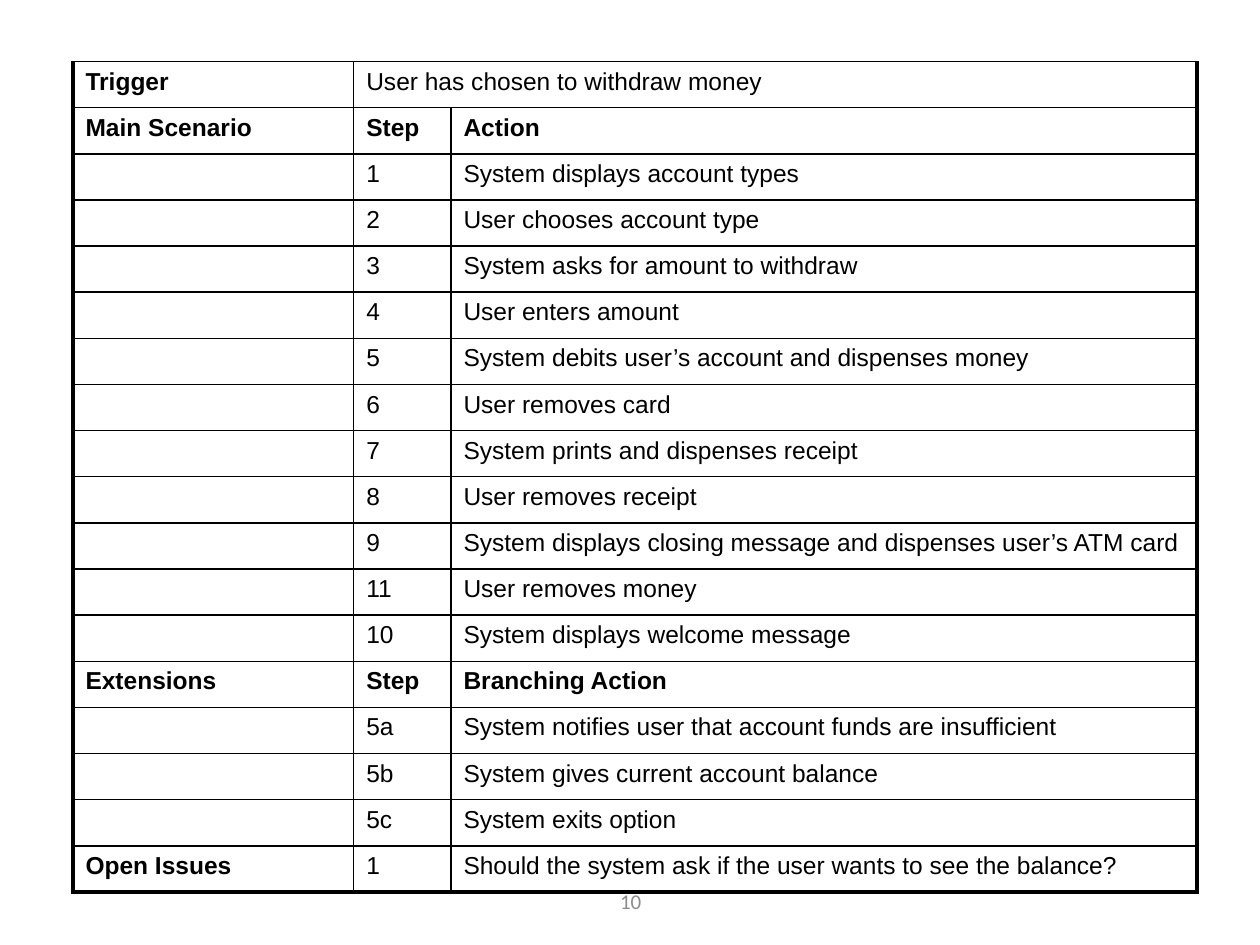
from lxml import etree
from pptx import Presentation
from pptx import util as u
from pptx.dml.color import RGBColor
from pptx.enum import text
from pptx.oxml.ns import qn


def style(font, color, **values):
    font.color.rgb = RGBColor.from_string(color)
    for key, value in values.items():
        setattr(font, key, value)


def add_border(cell, side, points):
    line = etree.SubElement(cell._tc.get_or_add_tcPr(), qn("a:ln" + side), w=str(u.Pt(points)))
    fill = etree.SubElement(line, qn("a:solidFill"))
    etree.SubElement(fill, qn("a:srgbClr"), val="000000")


use_case = [
    ("Trigger", "User has chosen to withdraw money", ""),
    ("Main Scenario", "Step", "Action"),
    ("", "1", "System displays account types"),
    ("", "2", "User chooses account type"),
    ("", "3", "System asks for amount to withdraw"),
    ("", "4", "User enters amount"),
    ("", "5", "System debits user’s account and dispenses money"),
    ("", "6", "User removes card"),
    ("", "7", "System prints and dispenses receipt"),
    ("", "8", "User removes receipt"),
    ("", "9", "System displays closing message and dispenses user’s ATM card"),
    ("", "11", "User removes money"),
    ("", "10", "System displays welcome message"),
    ("Extensions", "Step", "Branching Action"),
    ("", "5a", "System notifies user that account funds are insufficient"),
    ("", "5b", "System gives current account balance"),
    ("", "5c", "System exits option"),
    ("Open Issues", "1", "Should the system ask if the user wants to see the balance?"),
]
column_widths = [5.66, 1.96, 15.04]
row_height = 0.93
thin, thick = 1, 2.25

deck = Presentation()
deck.slide_width, deck.slide_height = u.Cm(25.4), u.Cm(19.05)
slide = deck.slides.add_slide(deck.slide_layouts[6])

page_number = slide.shapes.add_textbox(u.Cm(8.69), u.Cm(17.65), u.Cm(8.05), u.Cm(1.02)).text_frame
page_number.word_wrap = True
page_number.vertical_anchor = text.MSO_ANCHOR.MIDDLE
page_number.text = "10"
page_number.paragraphs[0].alignment = text.PP_ALIGN.CENTER
style(page_number.paragraphs[0].runs[0].font, "8C8C8C", name="Calibri", size=u.Pt(12))

scenario = slide.shapes.add_table(
    len(use_case), len(column_widths), u.Cm(1.47), u.Cm(1.24),
    u.Cm(sum(column_widths)), u.Cm(row_height * len(use_case))).table
scenario.first_row = scenario.horz_banding = False
for column, width in zip(scenario.columns, column_widths):
    column.width = u.Cm(width)
for row in scenario.rows:
    row.height = u.Cm(row_height)
scenario.cell(0, 1).merge(scenario.cell(0, 2))

last_row, last_column = len(use_case) - 1, len(column_widths) - 1
for r, entries in enumerate(use_case):
    for c, entry in enumerate(entries):
        cell = scenario.cell(r, c)
        reaches_right = c == last_column or cell.is_merge_origin
        add_border(cell, "L", thick if c == 0 else thin)
        add_border(cell, "R", thick if reaches_right else thin)
        add_border(cell, "T", thin)
        add_border(cell, "B", thick if r == last_row else thin)
        cell.fill.background()
        paragraph = cell.text_frame.paragraphs[0]
        if entry:
            run = paragraph.add_run()
            run.text = entry
            bold = c == 0 or entries[1] == "Step"
            style(run.font, "000000", name="Arial", size=u.Pt(14), bold=bold)
        else:
            etree.SubElement(paragraph._p, qn("a:endParaRPr"), sz="1400")

deck.save("out.pptx")
